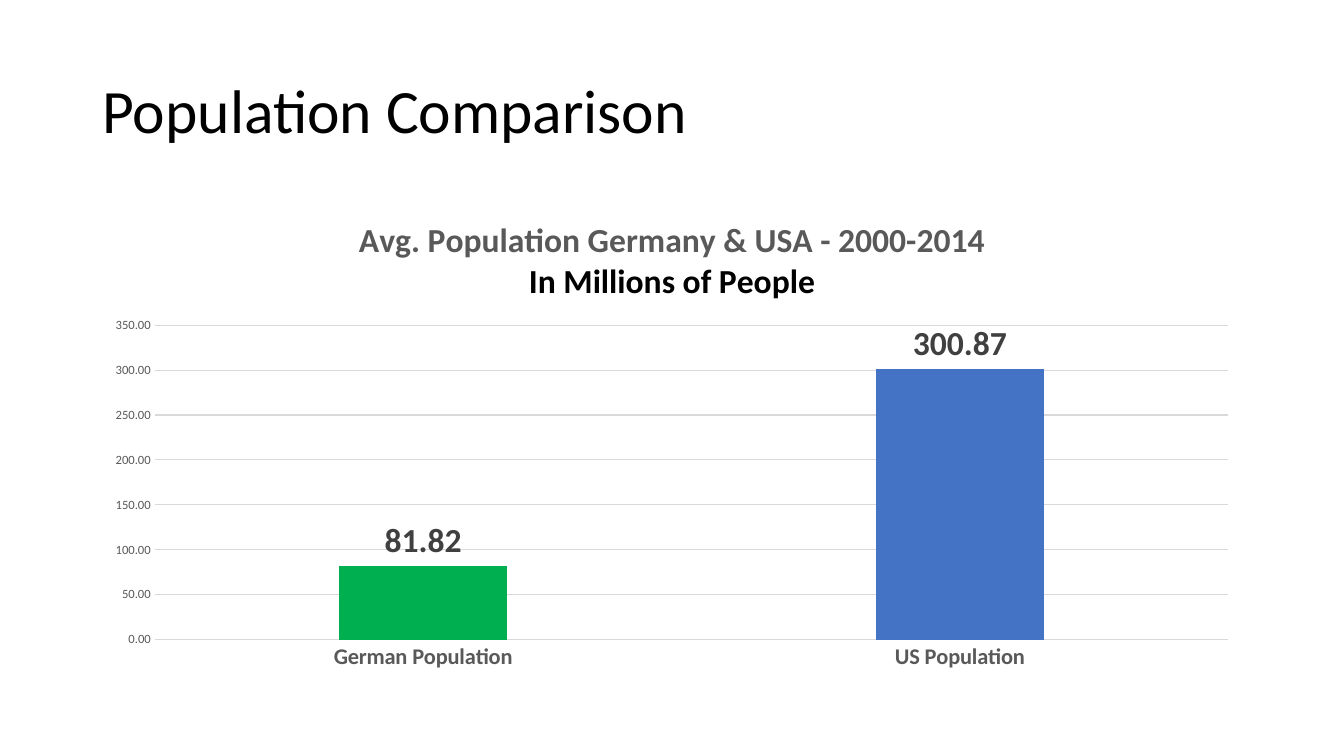
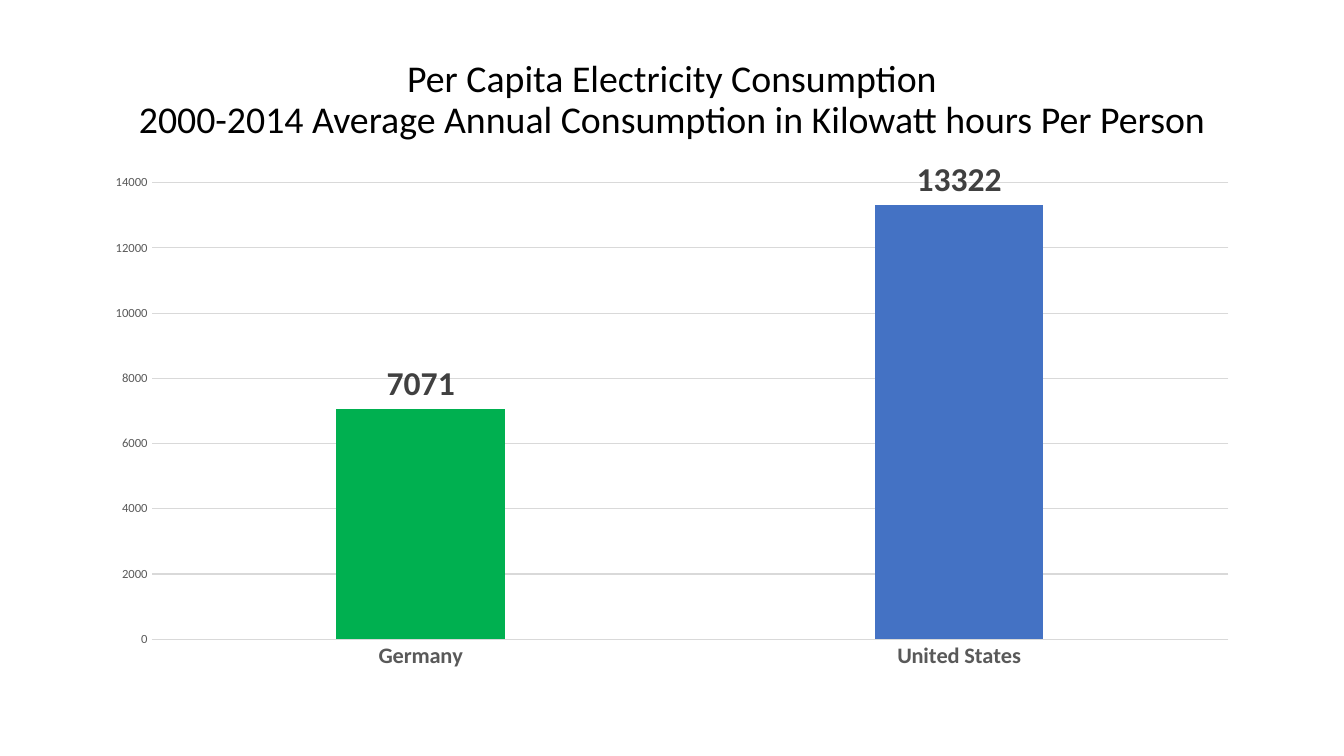
from dataclasses import dataclass

from pptx import Presentation
from pptx import util as u
from pptx.chart.data import CategoryChartData
from pptx.dml.color import RGBColor
from pptx.enum import chart as charts
from pptx.enum import text


@dataclass(frozen=True)
class Theme:
    font: str = "Calibri"
    black: str = "000000"
    grey: str = "595959"
    label: str = "404040"
    grid: str = "D9D9D9"
    germany: str = "00B050"
    usa: str = "4472C4"
    title_size: float = 44
    long_title_size: float = 27
    chart_title_size: float = 24
    value_size: float = 24
    category_size: float = 16
    scale_size: float = 9
    chart_size: float = 10
    line_width: float = 0.75


THEME = Theme()
LEFT, WIDTH = u.Cm(2.33), u.Cm(29.21)
TITLE_TOP = u.Cm(1.02)
CHART_BOTTOM = u.Cm(17.15)


def style_font(font, size, color, bold=False):
    font.name = THEME.font
    font.size = u.Pt(size)
    font.bold = bold
    font.color.rgb = RGBColor.from_string(color)


def style_line(line):
    line.color.rgb = RGBColor.from_string(THEME.grid)
    line.width = u.Pt(THEME.line_width)


def add_title(slide, box, lines, size, alignment):
    frame = slide.shapes.add_textbox(*box).text_frame
    frame.word_wrap = True
    frame.vertical_anchor = text.MSO_ANCHOR.MIDDLE
    paragraph = frame.paragraphs[0]
    paragraph.alignment = alignment
    paragraph.line_spacing = 0.9
    style_font(paragraph.font, size, THEME.black)
    for index, line in enumerate(lines):
        if index:
            paragraph.add_line_break()
        paragraph.add_run().text = line


def add_chart_title(chart, lines):
    """Heading inside the chart: first line grey, second black."""
    frame = chart.chart_title.text_frame
    chart.chart_title.include_in_layout = False
    for index, (line, color) in enumerate(zip(lines, (THEME.grey, THEME.black))):
        paragraph = frame.add_paragraph() if index else frame.paragraphs[0]
        paragraph.text = line
        style_font(paragraph.font, THEME.chart_title_size, color, bold=True)


def add_column_chart(slide, box, values, number_format, heading=()):
    data = CategoryChartData(number_format=number_format)
    data.categories = values.keys()
    data.add_series("Series 1", values.values())
    chart = slide.shapes.add_chart(
        charts.XL_CHART_TYPE.COLUMN_CLUSTERED, *box, data).chart
    style_font(chart.font, THEME.chart_size, THEME.black)
    chart.has_legend = False
    chart.has_title = bool(heading)
    if heading:
        add_chart_title(chart, heading)

    # Axes
    for axis in (chart.category_axis, chart.value_axis):
        axis.major_tick_mark = axis.minor_tick_mark = charts.XL_TICK_MARK.NONE
    style_font(chart.category_axis.tick_labels.font,
               THEME.category_size, THEME.grey, bold=True)
    style_line(chart.category_axis.format.line)
    scale = chart.value_axis
    style_font(scale.tick_labels.font, THEME.scale_size, THEME.grey)
    scale.tick_labels.number_format = number_format
    scale.tick_labels.number_format_is_linked = False
    scale.format.line.fill.background()
    style_line(scale.major_gridlines.format.line)

    # Columns
    plot = chart.plots[0]
    plot.gap_width, plot.overlap = 219, -27
    plot.vary_by_categories = False
    series = plot.series[0]
    germany = series.points[0]
    for part, color in ((series, THEME.usa), (germany, THEME.germany)):
        part.format.fill.solid()
        part.format.fill.fore_color.rgb = RGBColor.from_string(color)

    # Value labels
    labels = series.data_labels
    labels.show_value = True
    labels.position = charts.XL_LABEL_POSITION.OUTSIDE_END
    labels.number_format = number_format
    labels.number_format_is_linked = False
    style_font(labels.font, THEME.value_size, THEME.label, bold=True)


def add_comparison_slide(presentation, title, title_size, alignment,
                         title_height, chart_top, **chart):
    slide = presentation.slides.add_slide(presentation.slide_layouts[6])
    add_title(slide, (LEFT, TITLE_TOP, WIDTH, title_height),
              title, title_size, alignment)
    add_column_chart(
        slide, (LEFT, chart_top, WIDTH, CHART_BOTTOM - chart_top), **chart)


def main():
    presentation = Presentation()
    presentation.slide_width = u.Cm(33.87)
    presentation.slide_height = u.Cm(19.05)

    add_comparison_slide(
        presentation, ["Population Comparison"], THEME.title_size,
        text.PP_ALIGN.LEFT, title_height=u.Cm(3.68), chart_top=u.Cm(5.07),
        values={"German Population": 81.82, "US Population": 300.87},
        number_format="0.00",
        heading=["Avg. Population Germany & USA - 2000-2014",
                 "In Millions of People"])

    add_comparison_slide(
        presentation,
        ["Per Capita Electricity Consumption",
         "2000-2014 Average Annual Consumption in Kilowatt hours Per Person"],
        THEME.long_title_size, text.PP_ALIGN.CENTER,
        title_height=u.Cm(3.02), chart_top=u.Cm(4.04),
        values={"Germany": 7071, "United States": 13322},
        number_format="0")

    presentation.save("out.pptx")


if __name__ == "__main__":
    main()
